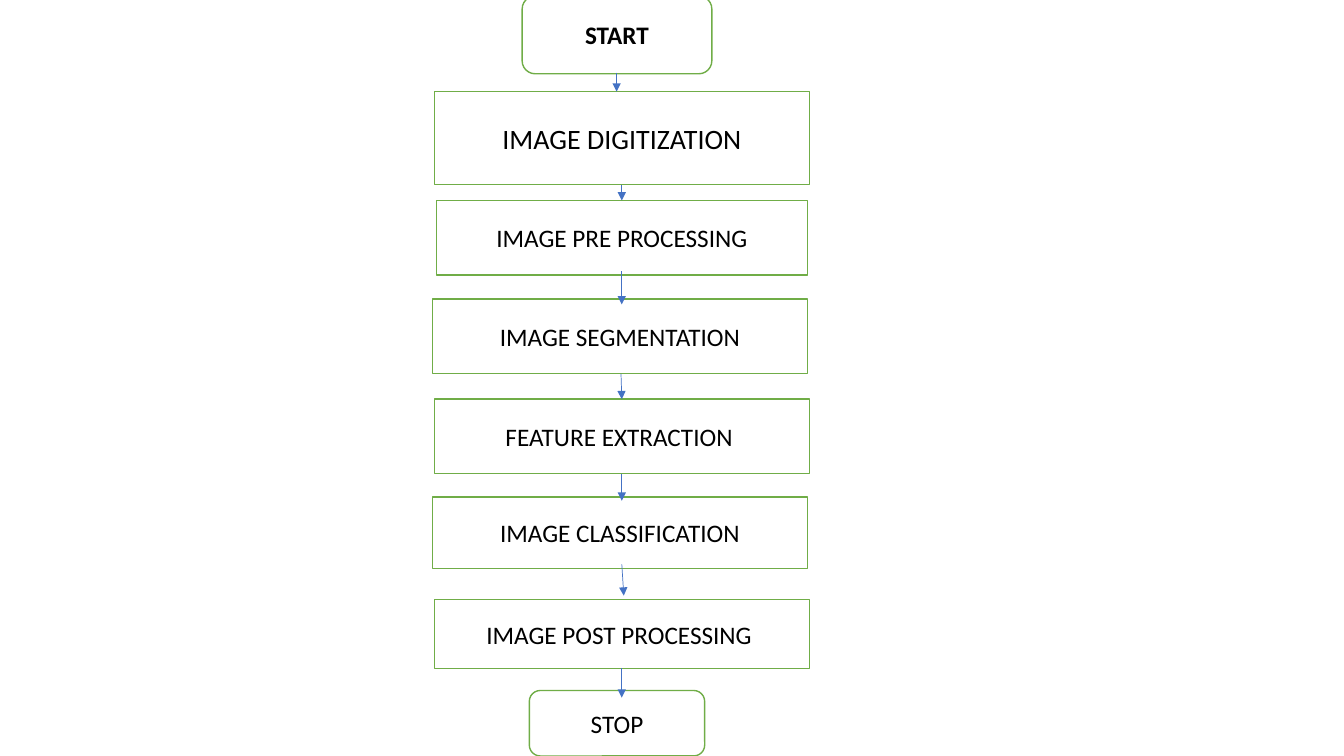
from lxml import etree
from pptx import Presentation
from pptx.dml.color import RGBColor
from pptx.enum.shapes import MSO_CONNECTOR, MSO_SHAPE
from pptx.enum.text import MSO_ANCHOR, PP_ALIGN
from pptx.oxml.ns import qn
from pptx.util import Cm, Pt

RECT = MSO_SHAPE.RECTANGLE
ROUND = MSO_SHAPE.ROUNDED_RECTANGLE
STRAIGHT = MSO_CONNECTOR.STRAIGHT
MIDDLE = MSO_ANCHOR.MIDDLE
CENTER = PP_ALIGN.CENTER


def color(code):
    return RGBColor.from_string(code)


class Flow:
    font = "Calibri"
    ink = "000000"
    paper = "FFFFFF"
    edge = "70AD47"
    link = "4472C4"

    def __init__(self, slide):
        self.slide = slide

    def step(self, label, left, top, width, height, kind=RECT, size=18, bold=False):
        box = self.slide.shapes.add_shape(kind, Cm(left), Cm(top), Cm(width), Cm(height))
        box.shadow.inherit = False
        box.fill.solid()
        box.fill.fore_color.rgb = color(self.paper)
        box.line.color.rgb = color(self.edge)
        box.line.width = Pt(1)
        frame = box.text_frame
        frame.word_wrap = True
        frame.vertical_anchor = MIDDLE
        para = frame.paragraphs[0]
        para.alignment = CENTER
        run = para.add_run()
        run.text = label
        run.font.name = self.font
        run.font.size = Pt(size)
        run.font.bold = bold
        run.font.color.rgb = color(self.ink)

    def arrow(self, left, top, right, bottom):
        line = self.slide.shapes.add_connector(
            STRAIGHT, Cm(left), Cm(top), Cm(right), Cm(bottom))
        line.line.color.rgb = color(self.link)
        line.line.width = Pt(0.5)
        tail = etree.SubElement(line.line._get_or_add_ln(), qn("a:tailEnd"))
        tail.set("type", "triangle")
        etree.SubElement(line._element.spPr, qn("a:effectLst"))


deck = Presentation()
deck.slide_width = Cm(33.87)
deck.slide_height = Cm(19.05)
flow = Flow(deck.slides.add_slide(deck.slide_layouts[6]))

WIDE = 9.45
AXIS = 15.67

flow.step("START", 13.16, -0.1, 4.78, 1.96, ROUND, bold=True)
flow.step("IMAGE DIGITIZATION", 10.95, 2.31, WIDE, 2.34, size=20)
for label, left, top, width, height in (
    ("IMAGE PRE PROCESSING", 11, 5.05, 9.35, 1.88),
    ("IMAGE SEGMENTATION", 10.9, 7.54, WIDE, 1.88),
    ("FEATURE EXTRACTION ", 10.95, 10.06, WIDE, 1.88),
    ("IMAGE CLASSIFICATION", 10.9, 12.52, WIDE, 1.8),
    ("IMAGE POST PROCESSING ", 10.95, 15.11, WIDE, 1.73),
):
    flow.step(label, left, top, width, height)
flow.step("STOP", 13.34, 17.4, 4.42, 1.65, ROUND)

for left, top, right, bottom in (
    (15.54, 1.83, 15.54, 2.31),
    (AXIS, 4.67, AXIS, 5.05),
    (AXIS, 6.83, AXIS, 7.67),
    (15.65, 9.42, AXIS, 10.06),
    (AXIS, 11.94, AXIS, 12.62),
    (AXIS, 14.22, 15.72, 15.01),
    (AXIS, 16.84, AXIS, 17.58),
):
    flow.arrow(left, top, right, bottom)

deck.save("out.pptx")
